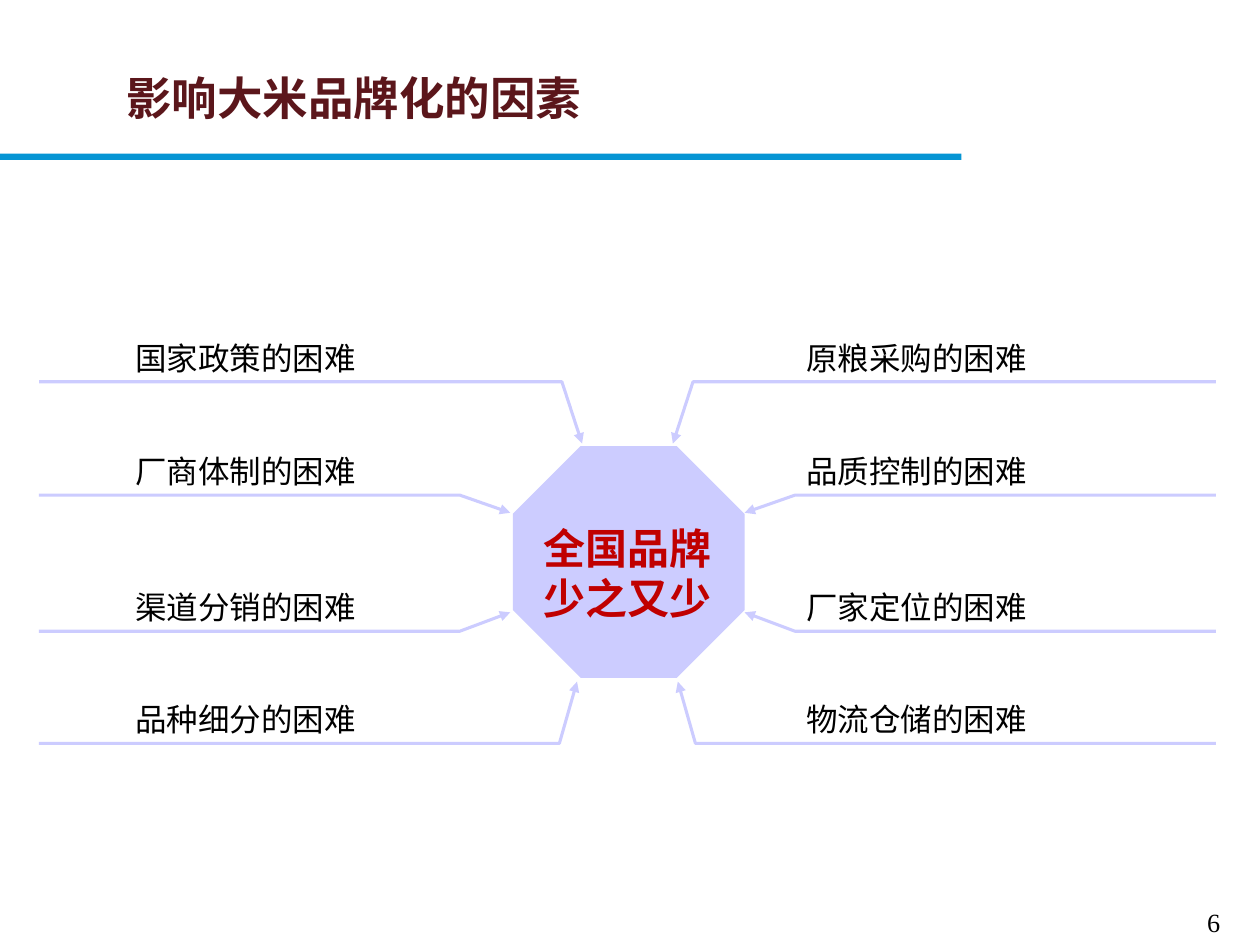
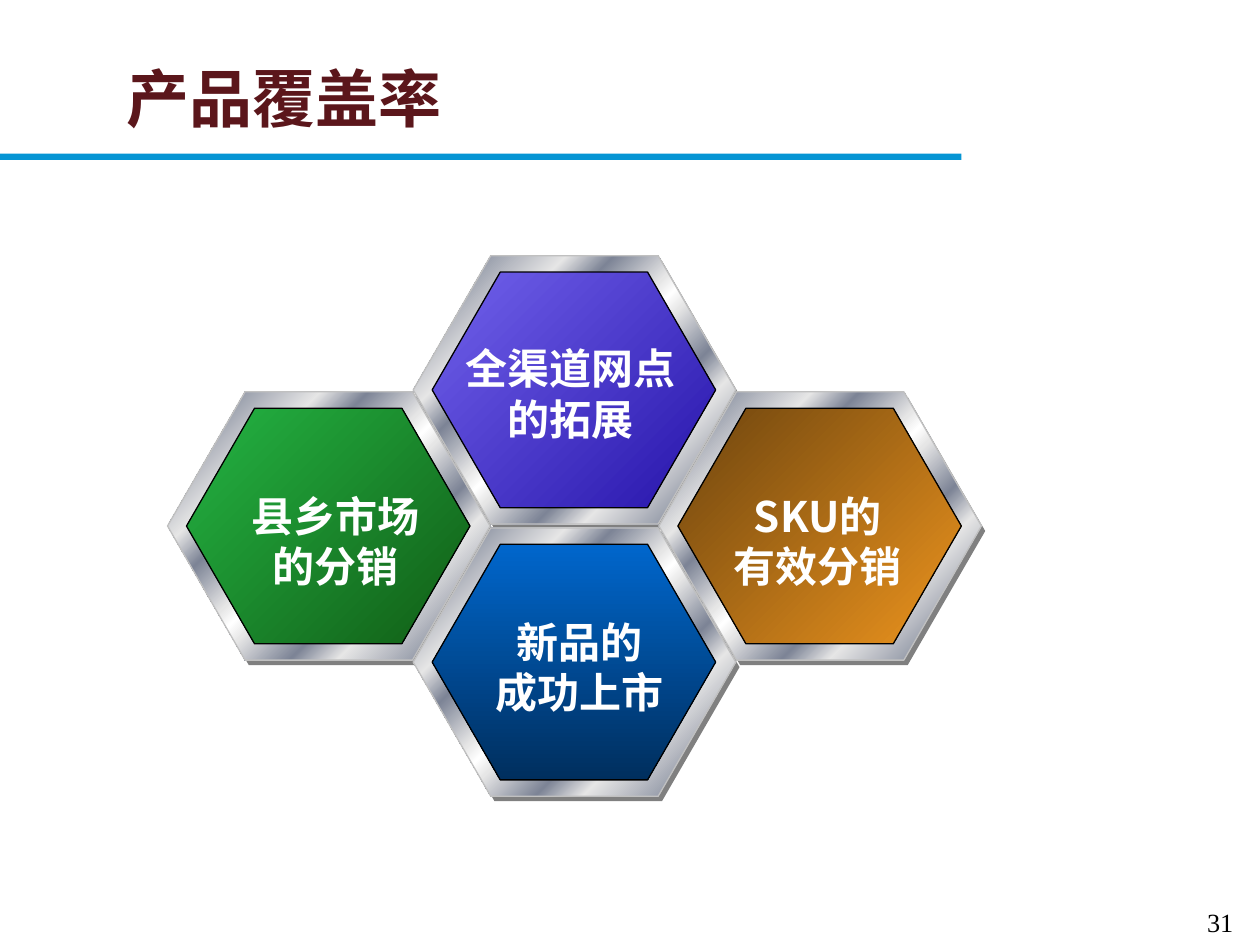
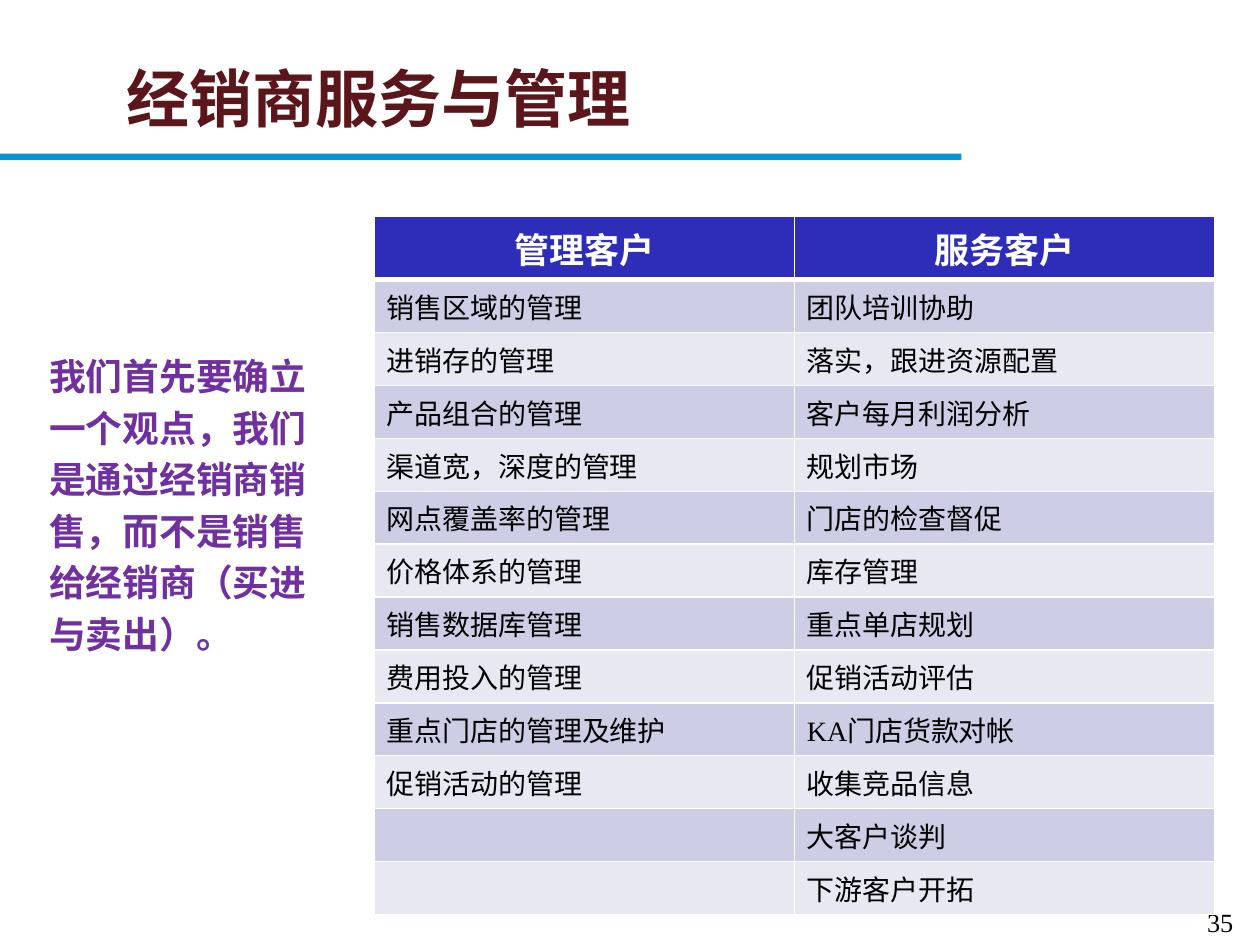
from collections import namedtuple
from itertools import zip_longest

from lxml import etree
from pptx import Presentation
from pptx import util as u
from pptx.dml.color import RGBColor
from pptx.enum import shapes, text
from pptx.oxml.ns import qn

SERIF, SANS = "Times New Roman", "Noto Sans CJK SC"
TITLE, BAND, LILAC, RED, PURPLE = "5B161B", "0595D4", "CCCCFF", "C00000", "7030A0"
BLACK, WHITE, GREY, SILVER = "000000", "FFFFFF", "808080", "C0C0C0"
HEADER, ROW_FILLS = "2D2DB9", ("CDCDE6", "E8E8F3")
METAL = [(0, "E6E6E6"), (8, "7D8496"), (26, "E6E6E6"), (34, "7D8496"), (46, "E6E6E6"),
         (50, "FFFFFF"), (54, "E6E6E6"), (66, "7D8496"), (74, "E6E6E6"), (92, "7D8496"),
         (100, "E6E6E6")]
LEFT, CENTER = text.PP_ALIGN.LEFT, text.PP_ALIGN.CENTER
TOP, MIDDLE, BOTTOM = text.MSO_ANCHOR.TOP, text.MSO_ANCHOR.MIDDLE, text.MSO_ANCHOR.BOTTOM
LINE_RATIO = 1.2

Box = namedtuple("Box", "x y w h")
SLIDE = Box(0, 0, 10, 7.5)


def color(hex_string):
    """Turn a hex string into a colour."""
    return RGBColor.from_string(hex_string)


def inside(box, x, y, w, h):
    """Return a box placed relative to the corner of another one."""
    return Box(box.x + x, box.y + y, w, h)


def emu(box):
    """Return the lengths of a box for python-pptx."""
    return [u.Inches(v) for v in box]


def style(p, size, hex_string, bold=False, font=SERIF, align=LEFT):
    """Set alignment and font of a paragraph, East Asian face included."""
    p.alignment = align
    f = p.font
    f.size, f.bold = u.Pt(size), bold
    f.color.rgb = color(hex_string)
    f.name = font
    ea = etree.SubElement(p._p.pPr.find(qn("a:defRPr")), qn("a:ea"))
    ea.set("typeface", SANS)


def add_text(s, box, lines, size, hex_string, bold=False, font=SERIF, align=LEFT,
             anchor=TOP, inset=(0, 0), tight=False, before=0):
    """Add a text box with one paragraph per line."""
    tf = s.shapes.add_textbox(*emu(box)).text_frame
    tf.word_wrap, tf.vertical_anchor = True, anchor
    tf.margin_left = tf.margin_right = u.Inches(inset[0])
    tf.margin_top = tf.margin_bottom = u.Inches(inset[1])
    for i, line in enumerate(lines):
        p = tf.paragraphs[0] if i == 0 else tf.add_paragraph()
        p.text = line
        style(p, size, hex_string, bold, font, align)
        if tight:
            p.line_spacing = u.Pt(size * LINE_RATIO)
        if i and before:
            p.space_before = u.Pt(before)


def add_shape(s, kind, box, fill, line=None, adj=None, angle=45):
    """Add a preset shape with a plain fill or a list of gradient stops."""
    sp = s.shapes.add_shape(kind, *emu(box))
    sp.shadow.inherit = False
    if adj:
        sp.adjustments[0] = adj
    if isinstance(fill, str):
        sp.fill.solid()
        sp.fill.fore_color.rgb = color(fill)
    else:
        set_gradient(sp, fill, angle)
    if line:
        sp.line.color.rgb, sp.line.width = color(line), u.Pt(0.75)
    else:
        sp.line.fill.background()


def set_gradient(sp, stops, angle):
    """Fill a shape with a linear gradient."""
    sp.fill.gradient()
    grad = sp._element.spPr.find(qn("a:gradFill"))
    gs_list = grad.find(qn("a:gsLst"))
    gs_list.clear()
    for pos, hex_string in stops:
        gs = etree.SubElement(gs_list, qn("a:gs"), pos=str(pos * 1000))
        etree.SubElement(gs, qn("a:srgbClr"), val=hex_string)
    grad.find(qn("a:lin")).set("ang", str(angle * 60000))


def add_arrow(s, points):
    """Add an open bent line with an arrowhead at its first point."""
    start, *rest = [(u.Inches(x), u.Inches(y)) for x, y in points]
    builder = s.shapes.build_freeform(*start)
    builder.add_line_segments(rest, close=False)
    sp = builder.convert_to_shape()
    sp.shadow.inherit = False
    sp.fill.background()
    sp.line.color.rgb, sp.line.width = color(LILAC), u.Pt(1.75)
    etree.SubElement(sp.line._ln, qn("a:headEnd"), type="triangle")


def new_slide(prs, title, number, size=36):
    """Add a blank slide with band, page number and title."""
    s = prs.slides.add_slide(prs.slide_layouts[6])
    add_shape(s, shapes.MSO_SHAPE.RECTANGLE, inside(SLIDE, -0.01, 1.22, 7.64, 0.05), BAND)
    add_text(s, inside(SLIDE, 9.51, 7.15, 0.4, 0.33), [str(number)], 15, BLACK,
             inset=(0.07, 0.04))
    add_text(s, inside(SLIDE, 0.92, 0.39, 7.22, 0.77), [title], size, TITLE, True,
             anchor=MIDDLE, inset=(0.08, 0.04))
    return s


def factor_diagram(s, box, center, factors):
    """Draw an octagon with mirrored arrows leading to it from both sides."""
    add_shape(s, shapes.MSO_SHAPE.OCTAGON, inside(box, 3.76, 0.88, 1.84, 1.84), LILAC, adj=0.293)
    add_text(s, inside(box, 3.87, 1.48, 1.6, 0.81), center, 24, RED, True, align=CENTER,
             anchor=MIDDLE, tight=True)
    bends = [((4.31, 0.86), (4.15, 0.37)), ((3.74, 1.41), (3.34, 1.27)),
             ((3.74, 2.2), (3.34, 2.35)), ((4.27, 2.75), (4.13, 3.24))]
    for (tip, elbow), labels in zip(bends, factors):
        points = [tip, elbow, (0, elbow[1])]
        add_arrow(s, [(box.x + x, box.y + y) for x, y in points])
        add_arrow(s, [(box.x + box.w - x, box.y + y) for x, y in points])
        for label, x, align in zip(labels, (0.02, 6.09), (CENTER, LEFT)):
            add_text(s, inside(box, x, elbow[1] - 0.34, 3.24, 0.3), [label], 18, BLACK,
                     align=align, anchor=BOTTOM)


def hexagon_cell(s, box, lines, stops, angle, text_x, text_y):
    """Draw a metal-framed hexagon with its shadow, face and label."""
    for dx, dy, w, h, fill, line, turn in (
            (0.03, 0.04, box.w, box.h, GREY, None, 0),
            (0, 0, box.w, box.h, METAL, SILVER, 45),
            (0.15, 0.13, 2.25, 1.87, stops, BLACK, angle)):
        add_shape(s, shapes.MSO_SHAPE.HEXAGON, inside(box, dx, dy, w, h), fill, line, 0.289, turn)
    add_text(s, inside(box, text_x, text_y, 1.9, 0.81), lines, 24, WHITE, True, SANS, CENTER,
             tight=True)


def honeycomb(s, box, cells):
    """Place hexagons on a grid of half-overlapping columns and rows."""
    for col, row, *cell in cells:
        hexagon_cell(s, inside(box, 1.95 * col, 1.08 * row, 2.56, 2.13), *cell)


def style_cell(cell, value, fill, size, hex_string, bold, align, top, bottom):
    """Write a table cell with white borders."""
    p = cell.text_frame.paragraphs[0]
    p.text = value
    style(p, size, hex_string, bold, align=align)
    tc_pr = cell._tc.get_or_add_tcPr()
    for side, width in (("L", 1), ("R", 1), ("T", top), ("B", bottom)):
        ln = etree.SubElement(tc_pr, qn("a:ln" + side), w=str(u.Pt(width)))
        etree.SubElement(etree.SubElement(ln, qn("a:solidFill")), qn("a:srgbClr"), val=WHITE)
    cell.fill.solid()
    cell.fill.fore_color.rgb = color(fill)


def duty_table(s, box, heads, columns):
    """Draw a two-column table with banded rows."""
    rows = [heads, *zip_longest(*columns, fillvalue="")]
    table = s.shapes.add_table(len(rows), len(heads), *emu(box)).table
    for col in table.columns:
        col.width = u.Inches(box.w / len(heads))
    for i, values in enumerate(rows):
        table.rows[i].height = u.Inches(0.42 if i else 0.5)
        for j, value in enumerate(values):
            if i:
                look = ROW_FILLS[(i - 1) % 2], 16, BLACK, False, LEFT, 3 if i == 1 else 1, 1
            else:
                look = HEADER, 20, WHITE, True, CENTER, 1, 3
            style_cell(table.cell(i, j), value, *look)


def main():
    """Build the three slides."""
    prs = Presentation()
    prs.slide_width, prs.slide_height = u.Inches(SLIDE.w), u.Inches(SLIDE.h)

    s = new_slide(prs, "影响大米品牌化的因素", 6, 26)
    factor_diagram(s, Box(0.31, 2.66, 9.34, 3.24), ["全国品牌少之又少"], [
        ("国家政策的困难", "原粮采购的困难"), ("厂商体制的困难", "品质控制的困难"),
        ("渠道分销的困难", "厂家定位的困难"), ("品种细分的困难", "物流仓储的困难")])

    s = new_slide(prs, "产品覆盖率", 31)
    honeycomb(s, Box(1.33, 2.03, 6.46, 4.28), [
        (1, 0, ["全渠道网点", "的拓展"], [(0, "7262EC"), (100, "2614AA")], 45, 0.3, 0.69),
        (0, 1, ["县乡市场", "的分销"], [(0, "24B443"), (100, "115D16")], 45, 0.38, 0.78),
        (2, 1, ["SKU的", "有效分销"], [(0, "6D440E"), (100, "EC941E")], 45, 0.31, 0.78),
        (1, 2, ["新品的", "成功上市"], [(0, "0066CC"), (100, "002F5E")], 90, 0.37, 0.7)])

    s = new_slide(prs, "经销商服务与管理", 35)
    add_text(s, inside(SLIDE, 0.31, 2.77, 2.34, 2.73), [
        "我们首先要确立", "一个观点，我们", "是通过经销商销", "售，而不是销售",
        "给经销商（买进", "与卖出）。"], 21, PURPLE, True, inset=(0.08, 0.04),
        tight=True, before=4.2)
    duty_table(s, Box(2.97, 1.72, 6.67, 5.54), ("管理客户", "服务客户"), [
        ["销售区域的管理", "进销存的管理", "产品组合的管理", "渠道宽，深度的管理",
         "网点覆盖率的管理", "价格体系的管理", "销售数据库管理", "费用投入的管理",
         "重点门店的管理及维护", "促销活动的管理"],
        ["团队培训协助", "落实，跟进资源配置", "客户每月利润分析", "规划市场",
         "门店的检查督促", "库存管理", "重点单店规划", "促销活动评估",
         "KA门店货款对帐", "收集竞品信息", "大客户谈判", "下游客户开拓"]])

    prs.save("out.pptx")


if __name__ == "__main__":
    main()
